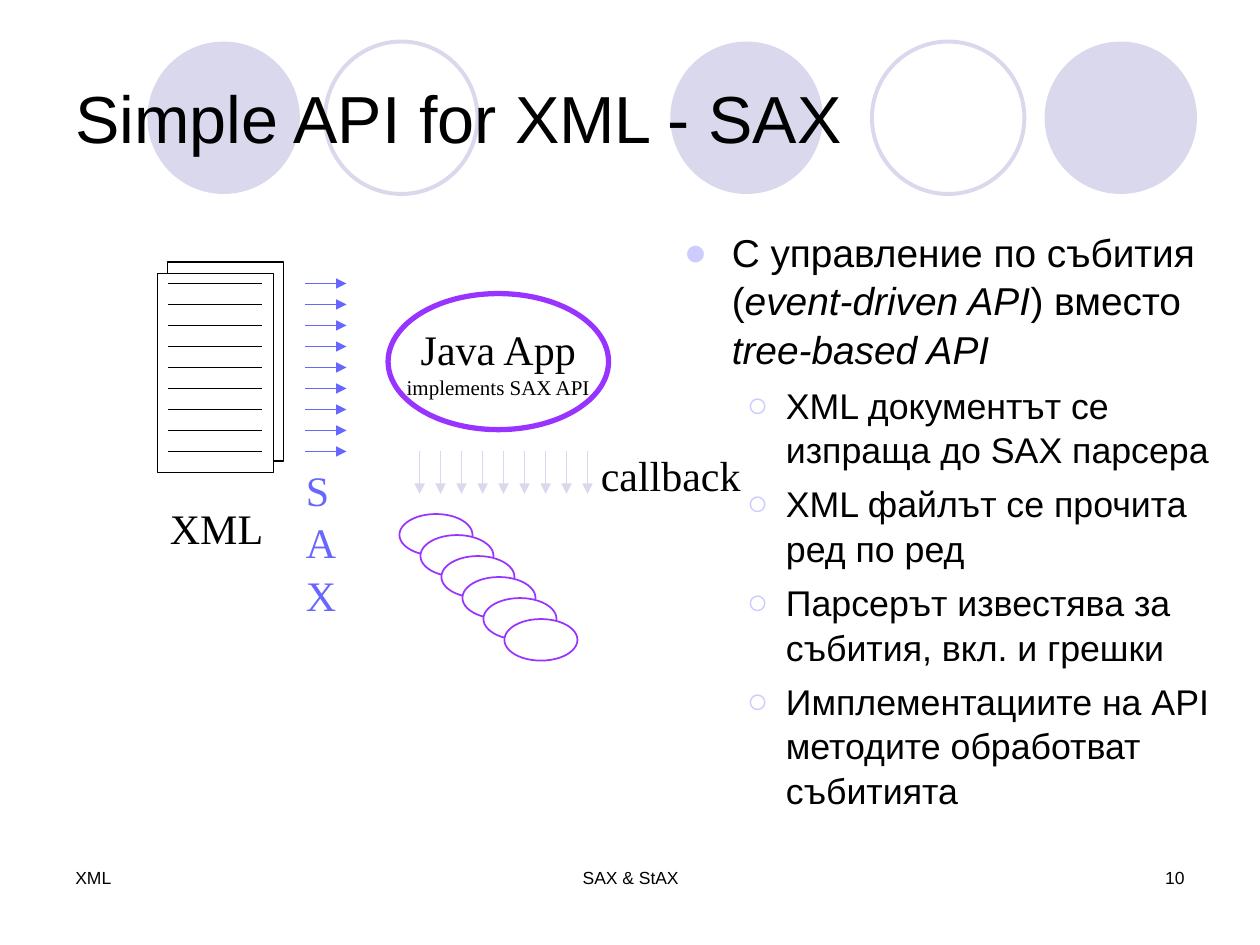
from dataclasses import dataclass

from lxml.etree import SubElement
from pptx import Presentation
from pptx.dml.color import RGBColor
from pptx.enum.shapes import MSO_CONNECTOR, MSO_SHAPE
from pptx.enum.text import MSO_ANCHOR, PP_ALIGN
from pptx.oxml.ns import qn
from pptx.util import Inches, Pt

BLACK, WHITE = "000000", "FFFFFF"
LILAC, BLUE, VIOLET = "D9D8EC", "6767FF", "9933FF"
BULLET = "CCCCFF"
SANS, SERIF = "Arial", "Times New Roman"
STEP = 1 / 6
LOOSE = 1.04


@dataclass
class Box:
    left: float
    top: float
    width: float
    height: float


@dataclass
class Label:
    text: str
    box: Box
    size: float
    font: str = SANS
    color: str = BLACK
    align: PP_ALIGN = PP_ALIGN.LEFT
    anchor: MSO_ANCHOR = MSO_ANCHOR.TOP
    spacing: float = 1.0


@dataclass
class Item:
    runs: list[tuple[str, bool]]
    mark: str = "○"
    size: float = 20.4
    left: float = 0.81
    hang: float = 0.31
    before: float = 5.5
    level: int = 1


def rgb(code: str) -> RGBColor:
    return RGBColor.from_string(code)


def add_run(para, text: str, size: float, font: str = SANS,
            color: str = BLACK, italic: bool = False) -> None:
    run = para.add_run()
    run.text = text
    run.font.size = Pt(size)
    run.font.name = font
    run.font.italic = italic
    run.font.color.rgb = rgb(color)


def add_shape(slide, kind: MSO_SHAPE, box: Box, fill: str | None = None,
              line: str | None = None, weight: float = 1):
    shape = slide.shapes.add_shape(
        kind, Inches(box.left), Inches(box.top),
        Inches(box.width), Inches(box.height))
    shape.shadow.inherit = False
    if fill:
        shape.fill.solid()
        shape.fill.fore_color.rgb = rgb(fill)
    else:
        shape.fill.background()
    if line:
        shape.line.color.rgb = rgb(line)
        shape.line.width = Pt(weight)
    else:
        shape.line.fill.background()
    return shape


def add_line(slide, start: tuple[float, float], end: tuple[float, float],
             color: str, arrow: bool = False) -> None:
    line = slide.shapes.add_connector(
        MSO_CONNECTOR.STRAIGHT, *map(Inches, start + end))
    line.line.color.rgb = rgb(color)
    line.line.width = Pt(1)
    if arrow:
        SubElement(line.line._get_or_add_ln(), qn("a:tailEnd"), type="triangle")
    SubElement(line._element.spPr, qn("a:effectLst"))


def add_frame(slide, box: Box):
    frame = slide.shapes.add_textbox(
        Inches(box.left), Inches(box.top),
        Inches(box.width), Inches(box.height)).text_frame
    frame.word_wrap = True
    return frame


def add_label(slide, label: Label) -> None:
    frame = add_frame(slide, label.box)
    frame.vertical_anchor = label.anchor
    para = frame.paragraphs[0]
    para.alignment = label.align
    para.line_spacing = label.spacing
    for i, line in enumerate(label.text.split("\n")):
        if i:
            para.add_line_break()
        add_run(para, line, label.size, label.font, label.color)


def add_list(slide, box: Box, items: list[Item]) -> None:
    frame = add_frame(slide, box)
    for i, item in enumerate(items):
        para = frame.add_paragraph() if i else frame.paragraphs[0]
        para.level = item.level
        para.line_spacing = LOOSE
        if i:
            para.space_before = Pt(item.before)
        props = para._p.get_or_add_pPr()
        props.set("marL", str(Inches(item.left)))
        props.set("indent", str(-Inches(item.hang)))
        color = SubElement(props, qn("a:buClr"))
        SubElement(color, qn("a:srgbClr"), val=BULLET)
        SubElement(props, qn("a:buFont"), typeface=SANS)
        SubElement(props, qn("a:buChar"), char=item.mark)
        for text, italic in item.runs:
            add_run(para, text, item.size, italic=italic)


def add_circles(slide) -> None:
    for left in (5.32, 8.29, 1.17):
        add_shape(slide, MSO_SHAPE.OVAL, Box(left, 0.33, 1.21, 1.21), LILAC)
    for left in (6.92, 2.58):
        add_shape(slide, MSO_SHAPE.OVAL, Box(left, 0.33, 1.21, 1.21),
                  line=LILAC, weight=2.25)


def add_pages(slide) -> None:
    add_shape(slide, MSO_SHAPE.RECTANGLE, Box(1.33, 2.08, 0.92, 1.58), line=BLACK)
    add_shape(slide, MSO_SHAPE.RECTANGLE, Box(1.25, 2.17, 0.92, 1.58), WHITE, BLACK)
    rows = [2.25 + i * STEP for i in range(9)]
    for y in rows:
        add_line(slide, (1.33, y), (2.08, y), BLACK)
    for y in rows:
        add_line(slide, (2.42, y), (2.75, y), BLUE, arrow=True)


def add_app(slide) -> None:
    app = add_shape(slide, MSO_SHAPE.OVAL, Box(3.08, 2.33, 1.75, 1.08),
                    WHITE, VIOLET, 3)
    frame = app.text_frame
    frame.word_wrap = False
    frame.vertical_anchor = MSO_ANCHOR.MIDDLE
    lines = (("Java App", 24), ("implements SAX API", 12))
    for i, (text, size) in enumerate(lines):
        para = frame.add_paragraph() if i else frame.paragraphs[0]
        para.alignment = PP_ALIGN.CENTER
        add_run(para, text, size, SERIF)


def add_calls(slide) -> None:
    for i in range(6):
        box = Box(3.17 + i * STEP, 4.08 + i * STEP, 0.58, 0.33)
        add_shape(slide, MSO_SHAPE.OVAL, box, WHITE, VIOLET)
    for i in range(9):
        x = 3.33 + i * STEP
        add_line(slide, (x, 3.58), (x, 3.92), LILAC, arrow=True)


LABELS = [
    Label("XML", Box(0.5, 6.83, 2.33, 0.5), 10),
    Label("SAX & StAX", Box(3.42, 6.83, 3.17, 0.5), 10, align=PP_ALIGN.CENTER),
    Label("10", Box(7.17, 6.83, 2.33, 0.5), 10, align=PP_ALIGN.RIGHT),
    Label("Simple API for XML - SAX", Box(0.5, 0.3, 9, 1.25), 38,
          anchor=MSO_ANCHOR.MIDDLE),
    Label("S\nA\nX", Box(2.33, 3.62, 0.5, 1.3), 24, SERIF, BLUE, spacing=LOOSE),
    Label("XML", Box(1.25, 3.92, 1, 0.5), 24, SERIF, spacing=LOOSE),
    Label("callback", Box(4.67, 3.5, 1.42, 0.5), 24, SERIF, spacing=LOOSE),
]
ITEMS = [
    Item([("С управление по събития (", False), ("event-driven API", True),
          (") вместо ", False), ("tree-based API", True)],
         "●", 22.2, 0.38, 0.38, 6, 0),
    Item([("XML документът се изпраща до SAX парсера", False)]),
    Item([("XML файлът се прочита ред по ред", False)]),
    Item([("Парсерът известява за събития, вкл. и грешки", False)]),
    Item([("Имплементациите на API методите обработват събитията", False)]),
]


def main() -> None:
    deck = Presentation()
    deck.slide_width, deck.slide_height = Inches(10), Inches(7.5)
    slide = deck.slides.add_slide(deck.slide_layouts[6])
    add_circles(slide)
    add_pages(slide)
    add_app(slide)
    add_calls(slide)
    add_list(slide, Box(5.33, 1.75, 4.67, 4.5), ITEMS)
    for label in LABELS:
        add_label(slide, label)
    deck.save("out.pptx")


if __name__ == "__main__":
    main()
